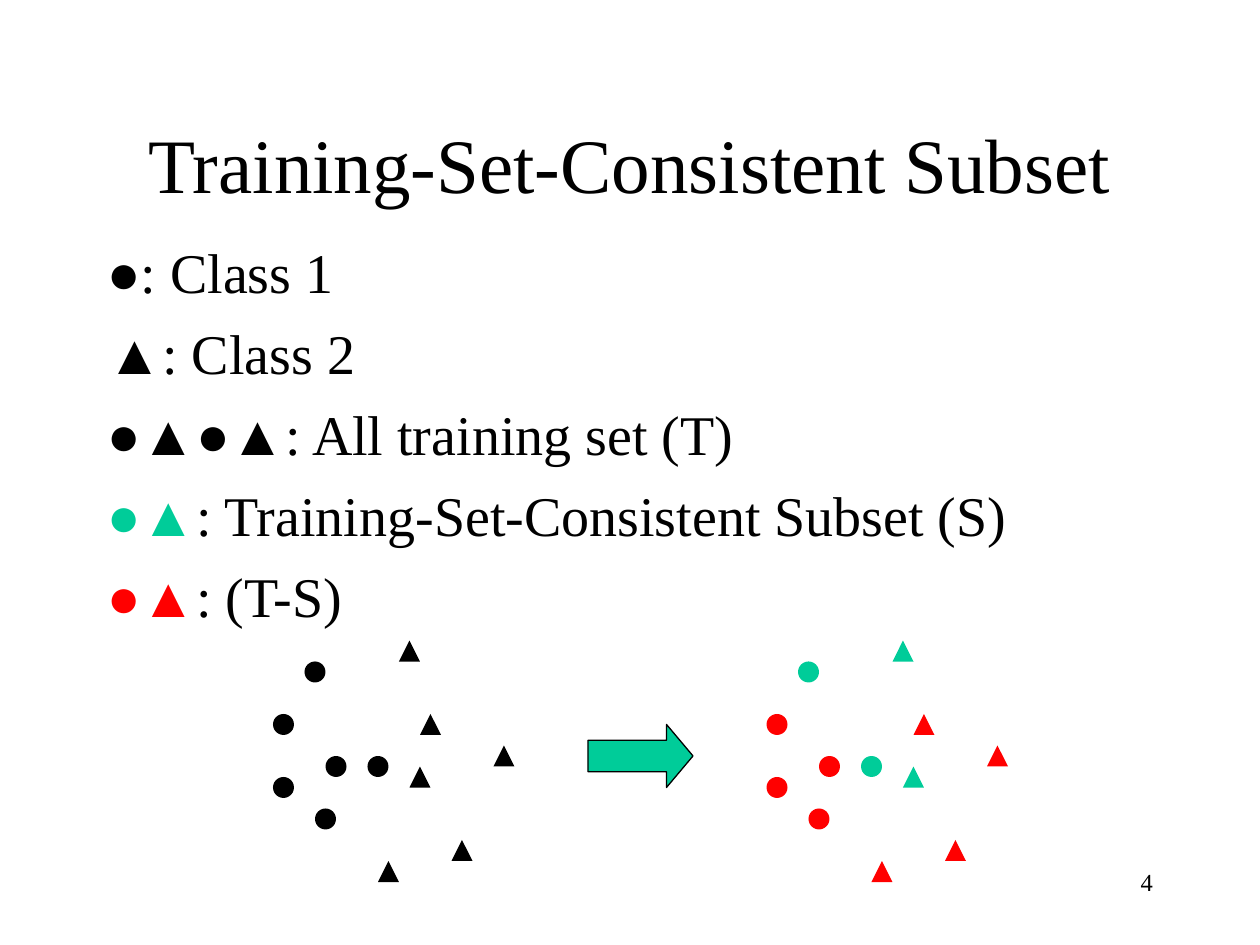
import pptx
import pptx.util
import pptx.dml.color
import pptx.enum.shapes
import pptx.enum.text
import pptx.oxml.ns
from dataclasses import dataclass

Pt = pptx.util.Pt
Kind = pptx.enum.shapes.MSO_SHAPE
Align = pptx.enum.text.PP_ALIGN
Anchor = pptx.enum.text.MSO_ANCHOR


@dataclass
class Theme:
    ink: str = "000000"
    keep: str = "00CC99"
    rest: str = "FF0000"
    text: str = "Times New Roman"
    sign: str = "Arial"
    head: int = 44
    body: int = 32
    foot: int = 14
    dot: int = 12


LEGEND = [
    ("●", "ink", ": Class 1"),
    ("▲", "ink", ": Class 2"),
    ("●▲●▲", "ink", ": All training set (T)"),
    ("●▲", "keep", ": Training-Set-Consistent Subset (S)"),
    ("●▲", "rest", ": (T-S)"),
]

# Left, top and whether the point belongs to the consistent subset
CLASSES = {
    Kind.OVAL: [
        (186, 432, False), (210, 432, True), (180, 462, False),
        (156, 444, False), (156, 408, False), (174, 378, True),
    ],
    Kind.ISOSCELES_TRIANGLE: [
        (234, 438, True), (240, 408, False), (228, 366, True),
        (216, 492, False), (258, 480, False), (282, 426, False),
    ],
}
SHIFT = 282


def assign(item, values):
    for name, value in values.items():
        setattr(item, name, value)


def rgb(code):
    return pptx.dml.color.RGBColor.from_string(code)


class Deck:
    def __init__(self, theme):
        self.theme = theme
        self.file = pptx.Presentation()
        assign(self.file, {"slide_width": Pt(720), "slide_height": Pt(540)})
        self.slide = self.file.slides.add_slide(self.file.slide_layouts[5])

    def frame(self, shape, anchor=Anchor.TOP):
        frame = shape.text_frame
        assign(frame, {
            "word_wrap": True, "vertical_anchor": anchor,
            "auto_size": pptx.enum.text.MSO_AUTO_SIZE.NONE,
            "margin_left": Pt(7.2), "margin_right": Pt(7.2),
            "margin_top": Pt(3.6), "margin_bottom": Pt(3.6),
        })
        return frame

    def run(self, para, text, size, face, color):
        run = para.add_run()
        run.text = text
        assign(run.font, {"size": Pt(size), "name": face})
        run.font.color.rgb = rgb(color)

    def title(self, text, box):
        shape = self.slide.shapes.title
        assign(shape, dict(zip(("left", "top", "width", "height"), map(Pt, box))))
        para = self.frame(shape, Anchor.MIDDLE).paragraphs[0]
        para.alignment = Align.CENTER
        self.run(para, text, self.theme.head, self.theme.text, self.theme.ink)

    def legend(self, rows, box):
        theme = self.theme
        frame = self.frame(self.slide.shapes.add_textbox(*map(Pt, box)))
        for index, (signs, tone, label) in enumerate(rows):
            para = frame.add_paragraph() if index else frame.paragraphs[0]
            para.space_before = Pt(8 if index else 0)
            props = para._p.get_or_add_pPr()
            props.set("marL", str(Pt(27)))
            props.set("indent", str(-Pt(27)))
            self.run(para, signs, theme.body, theme.sign, getattr(theme, tone))
            self.run(para, label, theme.body, theme.text, theme.ink)

    def number(self, text, box):
        frame = self.frame(self.slide.shapes.add_textbox(*map(Pt, box)))
        para = frame.paragraphs[0]
        para.alignment = Align.RIGHT
        self.run(para, text, self.theme.foot, self.theme.text, self.theme.ink)

    def shape(self, home, kind, box, color):
        shape = home.add_shape(kind, *map(Pt, box))
        shape.shadow.inherit = False
        shape.fill.solid()
        shape.fill.fore_color.rgb = rgb(color)
        shape.line.fill.background()
        return shape

    def scatter(self, shift, keep, rest):
        """Draw both classes as one group, coloured by subset membership."""
        group = self.slide.shapes.add_group_shape()
        dot = self.theme.dot
        for kind, points in CLASSES.items():
            for left, top, kept in points:
                box = (left + shift, top, dot, dot)
                self.shape(group.shapes, kind, box, keep if kept else rest)

    def arrow(self, box):
        shape = self.shape(self.slide.shapes, Kind.RIGHT_ARROW, box, self.theme.keep)
        shape.adjustments[1] = 0.42
        shape.line.color.rgb = rgb(self.theme.ink)
        shape.line.width = Pt(0.75)


def main():
    theme = Theme()
    deck = Deck(theme)
    deck.title("Training-Set-Consistent Subset", (54, 48, 612, 90))
    deck.legend(LEGEND, (54, 132, 612, 324))
    deck.scatter(0, theme.ink, theme.ink)
    deck.arrow((336, 414, 60, 36))
    deck.scatter(SHIFT, theme.keep, theme.rest)
    deck.number("4", (516, 492, 150, 36))
    deck.file.save("out.pptx")


if __name__ == "__main__":
    main()
